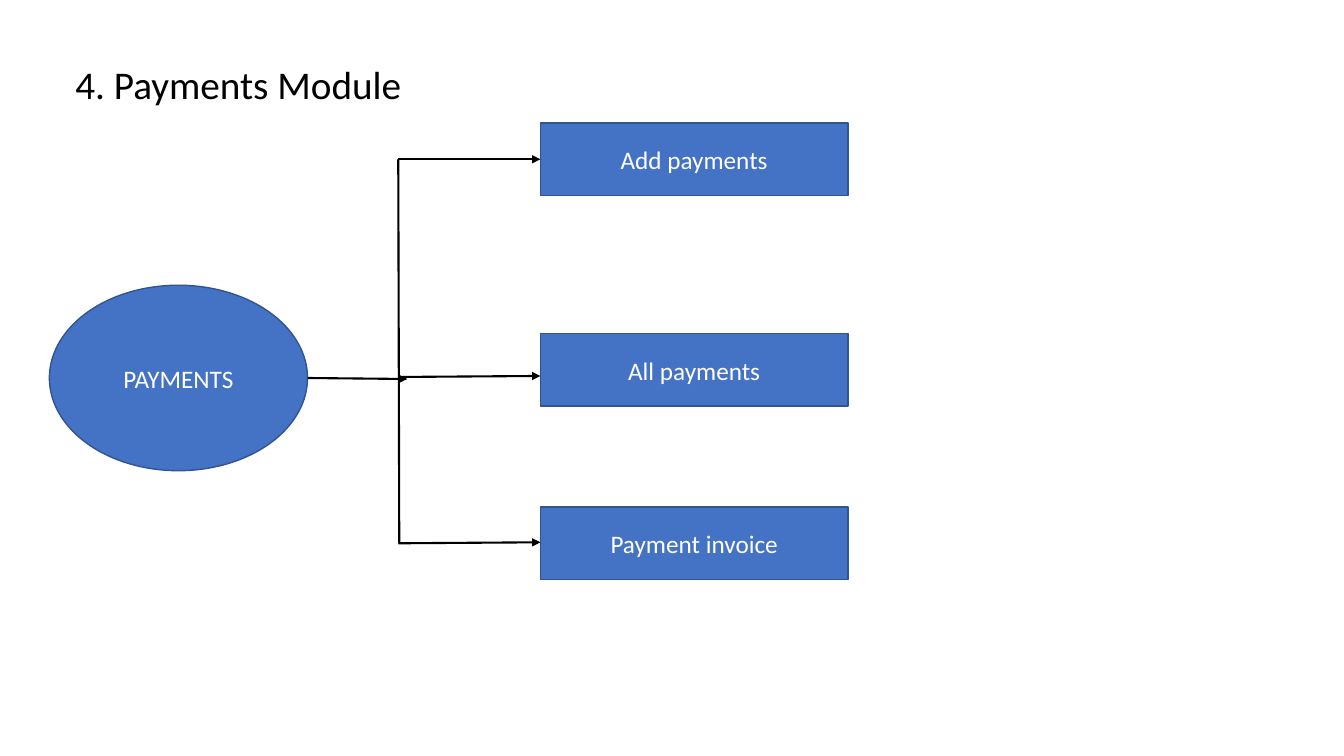
from pptx import Presentation
from pptx import util as u
from pptx.dml import color
from pptx.enum import shapes, text
from lxml import etree

NS = "{http://schemas.openxmlformats.org/drawingml/2006/main}"
BLUE, EDGE, WHITE, BLACK = "4472C4", "325491", "FFFFFF", "000000"


def paint(part, tone):
    if hasattr(part, "solid"):
        part.solid()
        part.fore_color.rgb = color.RGBColor.from_string(tone)
    else:
        part.rgb = color.RGBColor.from_string(tone)


def write(shape, words, size=18, tone=WHITE, align=text.PP_ALIGN.CENTER,
          anchor=text.MSO_ANCHOR.MIDDLE, lead=1.0):
    frame = shape.text_frame
    frame.word_wrap = True
    frame.vertical_anchor = anchor
    para = frame.paragraphs[0]
    para.alignment = align
    para.line_spacing = lead
    run = para.add_run()
    run.text = words
    run.font.name = "Calibri"
    run.font.size = u.Pt(size)
    paint(run.font.color, tone)


def node(slide, kind, box, words):
    shape = slide.shapes.add_shape(kind, *map(u.Inches, box))
    shape.shadow.inherit = False
    paint(shape.fill, BLUE)
    paint(shape.line.fill, EDGE)
    shape.line.width = u.Pt(1)
    write(shape, words)


def link(slide, start, end, arrow=True):
    line = slide.shapes.add_connector(
        shapes.MSO_CONNECTOR.STRAIGHT, *map(u.Inches, (*start, *end)))
    paint(line.line.fill, BLACK)
    line.line.width = u.Pt(1.5)
    if arrow:
        etree.SubElement(line.line._get_or_add_ln(), NS + "tailEnd", type="triangle")
    etree.SubElement(line._element.spPr, NS + "effectLst")


def title(slide, box, words):
    shape = slide.shapes.add_textbox(*map(u.Inches, box))
    write(shape, words, size=28, tone=BLACK, align=text.PP_ALIGN.LEFT,
          anchor=text.MSO_ANCHOR.TOP, lead=0.9)


def tree(slide, box, root, leaves):
    left, top, width, height = box
    root_w, root_h, leaf_w, leaf_h = 2.56, 1.84, 3.05, 0.72
    root_y = top + 1.61
    mid = root_y + root_h / 2
    trunk = left + 3.46
    leaf_x = left + width - leaf_w
    node(slide, shapes.MSO_SHAPE.OVAL, (left, root_y, root_w, root_h), root)
    for words, drop, start, end in leaves:
        node(slide, shapes.MSO_SHAPE.RECTANGLE,
             (leaf_x, top + drop, leaf_w, leaf_h), words)
        link(slide, (trunk, top + start), (leaf_x, top + end))
    link(slide, (left + root_w, mid), (trunk + 0.09, mid + 0.01))
    link(slide, (trunk, top + leaves[0][2]),
         (trunk + 0.01, top + leaves[-1][2]), arrow=False)


def main():
    deck = Presentation()
    deck.slide_width = u.Inches(13.33)
    deck.slide_height = u.Inches(7.5)
    slide = deck.slides.add_slide(deck.slide_layouts[6])
    title(slide, (0.65, 0.6, 4.16, 0.62), "4. Payments Module")
    tree(slide, (0.49, 1.22, 7.92, 4.53), "PAYMENTS", [
        ("Add payments", 0, 0.36, 0.36),
        ("All payments", 2.09, 2.52, 2.51),
        ("Payment invoice", 3.81, 4.17, 4.16),
    ])
    deck.save("out.pptx")


if __name__ == "__main__":
    main()
